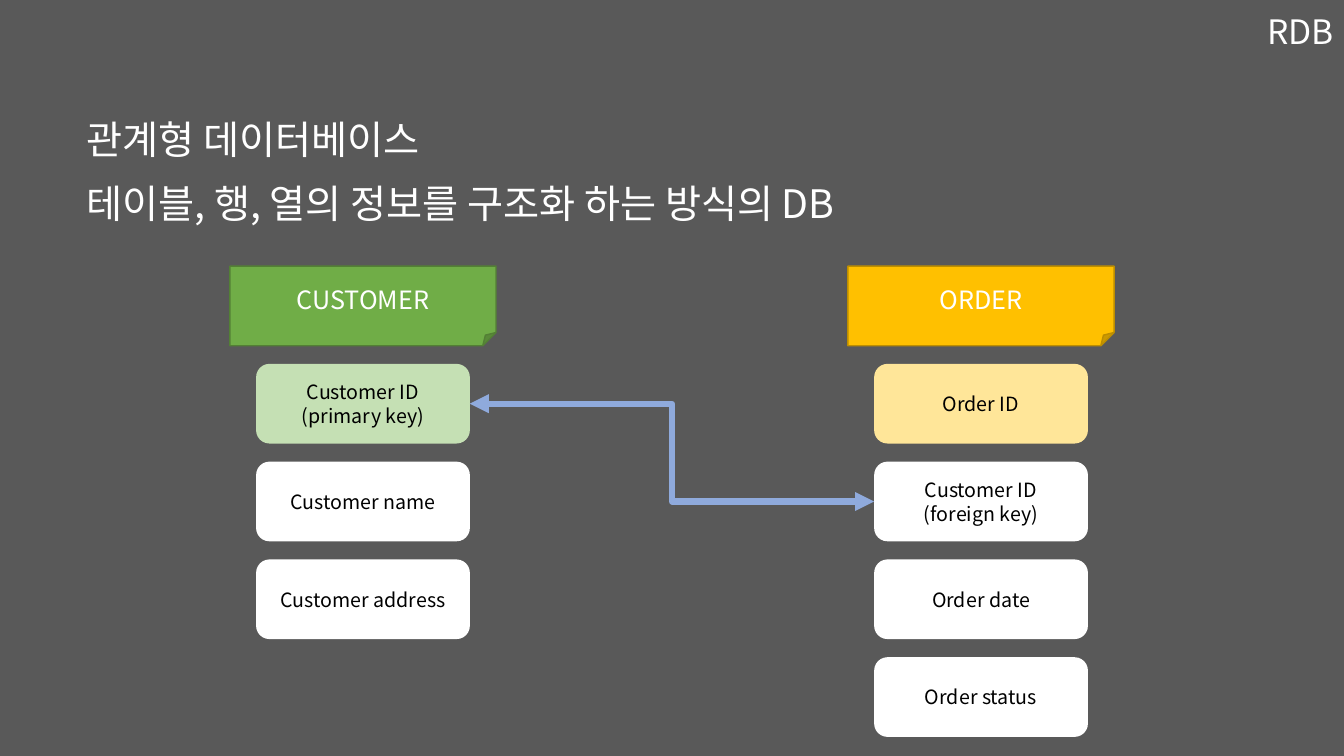
from lxml.etree import SubElement
from pptx import Presentation
from pptx.dml.color import RGBColor
from pptx.enum.shapes import MSO_CONNECTOR as Connector, MSO_SHAPE as Shape
from pptx.enum.text import MSO_ANCHOR as Anchor, PP_ALIGN as Align
from pptx.oxml.ns import qn
from pptx.util import Inches, Pt

FONT = "Noto Sans CJK KR"
COLORS = {
    "background": "595959",
    "white": "FFFFFF",
    "black": "000000",
    "green": "70AD47",
    "green_edge": "538035",
    "green_key": "C5E0B4",
    "amber": "FFC000",
    "amber_edge": "BD8E00",
    "amber_key": "FFE699",
    "relation": "8FAADC",
}
HEADINGS = [
    ("RDB", (6.13, 0.1, 7.2, 0.48), 24, Align.RIGHT),
    ("관계형 데이터베이스", (0.76, 1.15, 11.58, 0.63), 28, Align.LEFT),
    ("테이블, 행, 열의 정보를 구조화 하는 방식의 DB",
     (0.76, 1.78, 11.06, 0.58), 28, Align.LEFT),
]
CUSTOMER_FIELDS = [
    ["Customer ID", "(primary key)"],
    ["Customer name"],
    ["Customer address"],
]
ORDER_FIELDS = [
    ["Order ID"],
    ["Customer ID", "(foreign key)"],
    ["Order date"],
    ["Order status"],
]
HEADER_TOP, HEADER_WIDTH = 2.64, 2.64
FIELD_WIDTH, BOX_HEIGHT, ROW_PITCH = 2.12, 0.79, 0.97


def rgb(name):
    return RGBColor.from_string(COLORS[name])


def apply_format(target, values):
    for name, value in values.items():
        setattr(target, name, value)


def write_lines(frame, lines, size, color, paragraph_format):
    for index, line in enumerate(lines):
        para = frame.paragraphs[0] if index == 0 else frame.add_paragraph()
        apply_format(para, paragraph_format)
        span = para.add_run()
        span.text = line
        apply_format(span.font, {"name": FONT, "size": Pt(size)})
        span.font.color.rgb = rgb(color)
        east_asian = SubElement(span.font._element, qn("a:ea"))
        east_asian.set("typeface", FONT)


def add_heading(page, text, bounds, size, align):
    box = page.shapes.add_textbox(*map(Inches, bounds))
    apply_format(box.text_frame, {"word_wrap": True, "vertical_anchor": Anchor.TOP})
    paragraph_format = {"alignment": align, "line_spacing": 0.9, "space_before": Pt(10)}
    write_lines(box.text_frame, [text], size, "white", paragraph_format)


def add_box(page, kind, bounds, lines, size, text_color, fill, edge=None):
    box = page.shapes.add_shape(kind, *map(Inches, bounds))
    box.shadow.inherit = False
    box.fill.solid()
    box.fill.fore_color.rgb = rgb(fill)
    if edge:
        box.line.color.rgb = rgb(edge)
        box.line.width = Pt(1)
    else:
        box.line.fill.background()
    apply_format(box.text_frame, {"word_wrap": True, "vertical_anchor": Anchor.MIDDLE})
    write_lines(box.text_frame, lines, size, text_color, {"alignment": Align.CENTER})
    return box


def add_entity(page, left, title, fields, color):
    header = (left, HEADER_TOP, HEADER_WIDTH, BOX_HEIGHT)
    add_box(page, Shape.FOLDED_CORNER, header, [title], 18, "white", color, f"{color}_edge")
    field_left = left + (HEADER_WIDTH - FIELD_WIDTH) / 2
    boxes = []
    for row, lines in enumerate(fields):
        bounds = (field_left, HEADER_TOP + ROW_PITCH * (row + 1), FIELD_WIDTH, BOX_HEIGHT)
        fill = "white" if row else f"{color}_key"
        boxes.append(add_box(page, Shape.ROUNDED_RECTANGLE, bounds, lines, 14, "black", fill))
    return boxes


def add_relation(page, primary_key, foreign_key):
    relation = page.shapes.add_connector(Connector.ELBOW, 0, 0, 0, 0)
    relation.begin_connect(primary_key, 3)
    relation.end_connect(foreign_key, 1)
    relation.line.color.rgb = rgb("relation")
    relation.line.width = Pt(4.5)
    properties = relation._element.spPr
    for end in ("a:headEnd", "a:tailEnd"):
        SubElement(properties.find(qn("a:ln")), qn(end)).set("type", "triangle")
    SubElement(properties, qn("a:effectLst"))


def main():
    deck = Presentation()
    apply_format(deck, {"slide_width": Inches(13.33), "slide_height": Inches(7.5)})
    page = deck.slides.add_slide(deck.slide_layouts[6])
    page.background.fill.solid()
    page.background.fill.fore_color.rgb = rgb("background")
    for heading in HEADINGS:
        add_heading(page, *heading)
    customer = add_entity(page, 2.28, "CUSTOMER", CUSTOMER_FIELDS, "green")
    order = add_entity(page, 8.41, "ORDER", ORDER_FIELDS, "amber")
    add_relation(page, customer[0], order[1])
    deck.save("out.pptx")


if __name__ == "__main__":
    main()
